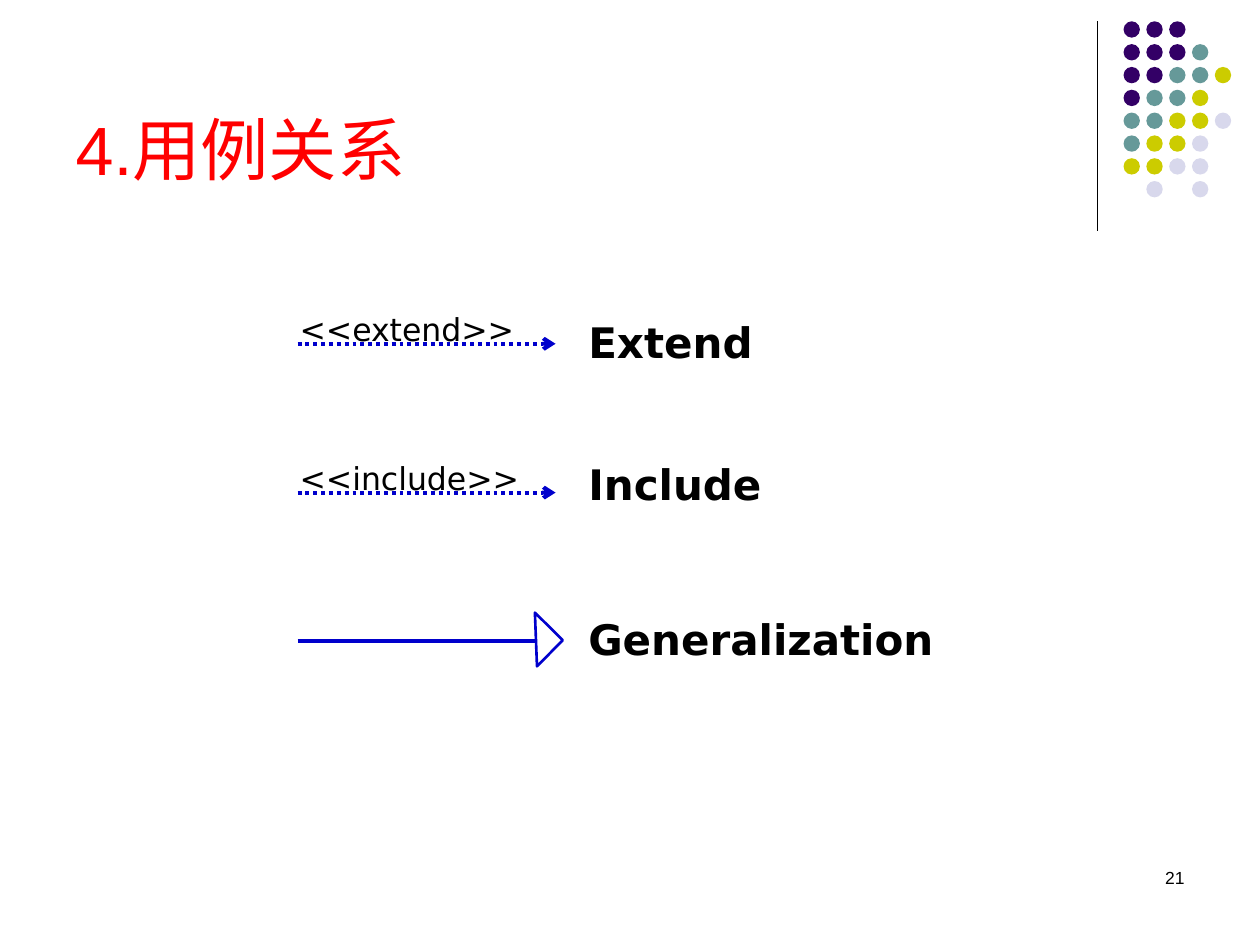
"""Build the slide on use case relations with its three kinds of arrow."""
from dataclasses import dataclass

from pptx import Presentation
from pptx import util as u
from pptx.dml.color import RGBColor
from pptx.enum import dml, shapes, text
from pptx.oxml.ns import qn
from lxml import etree

COLORS = {
    "P": "330066", "T": "669999", "Y": "CCCC00", "L": "D8D8EC",
    "title": "FF0000", "text": "000000", "arrow": "0000CC",
}
DOTS = ["PPP", "PPPT", "PPTTY", "PTTY", "TTYYL", "TYYL", "YYLL", " L L"]
DOT_LEFT, DOT_TOP, DOT_SIZE, DOT_PITCH = 22.65, 0.43, 0.33, 0.46
ROW_TOP, ROW_PITCH = 6.93, 3
ARROW_LEFT, ARROW_RIGHT = 6, 11.2


@dataclass
class Relation:
    name: str
    name_top: float
    name_width: float
    stereotype: str = ""


RELATIONS = [
    Relation("Extend", 6.25, 5.79, "<<extend>>"),
    Relation("Include", 9.12, 5.79, "<<include>>"),
    Relation("Generalization", 12.24, 7.49),
]


def rgb(key: str) -> RGBColor:
    return RGBColor.from_string(COLORS[key])


def style(p, size: float, font: str, color: str = "text", bold: bool = False) -> None:
    for r in p.runs:
        r.font.size, r.font.name, r.font.bold = u.Pt(size), font, bold
        r.font.color.rgb = rgb(color)


def add_text(s, words: str, left: float, top: float, width: float, height: float,
             size: float, font: str = "DejaVu Sans", bold: bool = False,
             align=text.PP_ALIGN.LEFT) -> None:
    tf = s.shapes.add_textbox(u.Cm(left), u.Cm(top), u.Cm(width), u.Cm(height)).text_frame
    tf.word_wrap = True
    tf.text = words
    p = tf.paragraphs[0]
    p.alignment = align
    style(p, size, font, bold=bold)


def add_line(s, x1: float, y1: float, x2: float, y2: float, color: str,
             width: float, dotted_arrow: bool = False) -> None:
    line = s.shapes.add_connector(shapes.MSO_CONNECTOR.STRAIGHT,
                                  u.Cm(x1), u.Cm(y1), u.Cm(x2), u.Cm(y2))
    line.line.color.rgb = rgb(color)
    line.line.width = u.Pt(width)
    if dotted_arrow:
        line.line.dash_style = dml.MSO_LINE.ROUND_DOT
        etree.SubElement(line.line._get_or_add_ln(), qn("a:tailEnd"), type="arrow")
    etree.SubElement(line._element.spPr, qn("a:effectLst"))


def add_dots(s) -> None:
    for row, codes in enumerate(DOTS):
        for col, code in enumerate(codes):
            if code == " ":
                continue
            sp = s.shapes.add_shape(shapes.MSO_SHAPE.OVAL,
                                    u.Cm(DOT_LEFT + col * DOT_PITCH),
                                    u.Cm(DOT_TOP + row * DOT_PITCH),
                                    u.Cm(DOT_SIZE), u.Cm(DOT_SIZE))
            sp.shadow.inherit = False
            sp.fill.solid()
            sp.fill.fore_color.rgb = rgb(code)
            sp.line.fill.background()


def add_triangle(s, y: float) -> None:
    sp = s.shapes.add_shape(shapes.MSO_SHAPE.RIGHT_TRIANGLE,
                            u.Cm(10.41), u.Cm(y - 0.41), u.Cm(0.79), u.Cm(0.74))
    sp.rotation = 224.6
    sp.shadow.inherit = False
    sp.fill.background()
    sp.line.color.rgb = rgb("arrow")
    sp.line.width = u.Pt(1.5)


def add_relation(s, relation: Relation, y: float) -> None:
    if relation.stereotype:
        add_line(s, ARROW_LEFT, y, ARROW_RIGHT, y, "arrow", 2.25, dotted_arrow=True)
        add_text(s, relation.stereotype, 5.79, y - 0.81, 5, 1.02, 18)
    else:
        add_line(s, ARROW_LEFT, y, 10.82, y, "arrow", 2.25)
        add_triangle(s, y)
    add_text(s, relation.name, 11.61, relation.name_top, relation.name_width, 1.27,
             24, bold=True)


def add_title(s, words: str) -> None:
    sp = s.shapes.title
    sp.left, sp.top, sp.width, sp.height = u.Cm(1.27), u.Cm(0.33), u.Cm(20.96), u.Cm(3.61)
    tf = sp.text_frame
    tf.text = words
    tf.auto_size = text.MSO_AUTO_SIZE.NONE
    tf.vertical_anchor = text.MSO_ANCHOR.BOTTOM
    tf.paragraphs[0].alignment = text.PP_ALIGN.LEFT
    style(tf.paragraphs[0], 39, "Arial", "title")


def main() -> None:
    prs = Presentation()
    prs.slide_width, prs.slide_height = u.Cm(25.4), u.Cm(19.05)
    s = prs.slides.add_slide(prs.slide_layouts[5])
    add_line(s, 22.12, 0.43, 22.12, 4.65, "text", 0.75)
    add_dots(s)
    add_text(s, "21", 18.21, 17.35, 5.92, 1.27, 10, "Arial", align=text.PP_ALIGN.RIGHT)
    add_title(s, "4.用例关系")
    for i, relation in enumerate(RELATIONS):
        add_relation(s, relation, ROW_TOP + i * ROW_PITCH)
    prs.save("out.pptx")


if __name__ == "__main__":
    main()
